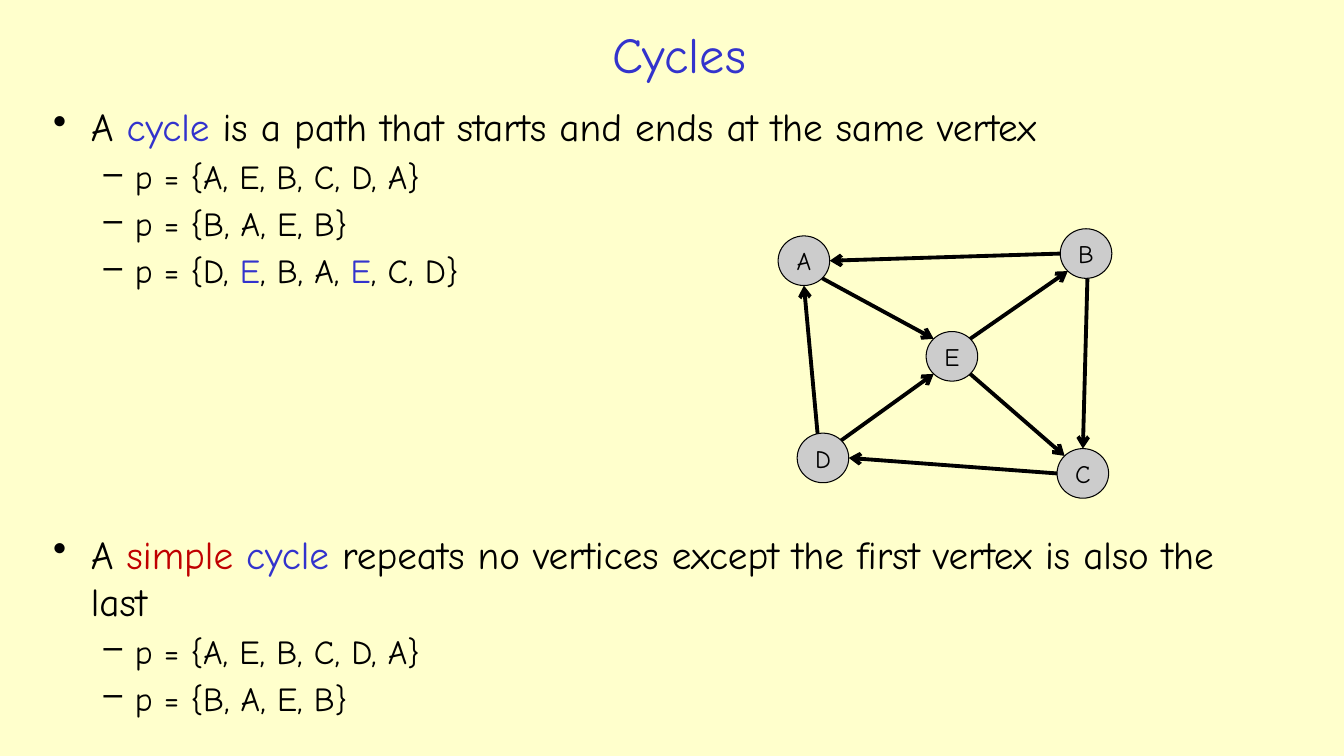
"""Build the slide on cycles in directed graphs."""
import math

import pptx
import pptx.dml.color
import pptx.enum.shapes
import pptx.enum.text
import pptx.oxml.ns
import pptx.util
from lxml import etree
from pptx.util import Cm, Pt

BLACK, BLUE, RED, GREY = "000000", "3333CC", "C00000", "CCCCCC"
LEVELS = [("•", 0.95, -0.95, 28), ("–", 2.06, -0.79, 24)]
NODE_W, NODE_H = 1.3, 1.25
NODES = {
    "A": (20.26, 6.57),
    "B": (27.37, 6.39),
    "D": (20.74, 11.54),
    "E": (23.99, 8.98),
    "C": (27.29, 11.93),
}
EDGES = [
    ("B", 180, "A", 0),
    ("E", 315, "C", 135),
    ("C", 180, "D", 0),
    ("A", 315, "E", 135),
    ("D", 102, "A", 270),
    ("D", 45, "E", 225),
    ("B", 273, "C", 90),
    ("E", 45, "B", 225),
]
CYCLE = [
    (0, [("A ", BLACK), ("cycle ", BLUE),
         ("is a path that starts and ends at the same vertex", BLACK)]),
    (1, [("p = {A, E, B, C, D, A}", BLACK)]),
    (1, [("p = {B, A, E, B}", BLACK)]),
    (1, [("p = {D, ", BLACK), ("E", BLUE), (", B, A, ", BLACK),
         ("E", BLUE), (", C, D}", BLACK)]),
]
SIMPLE_CYCLE = [
    (0, [("A ", BLACK), ("simple ", RED), ("cycle ", BLUE),
         ("repeats no vertices except the first vertex is also the last", BLACK)]),
    *CYCLE[1:3],
]


def rgb(value):
    return pptx.dml.color.RGBColor.from_string(value)


def add_xml(parent, tag, **attributes):
    return etree.SubElement(parent, pptx.oxml.ns.qn(tag), **attributes)


def rim(node, degrees):
    x, y = NODES[node]
    angle = math.radians(degrees)
    return (Cm(x + NODE_W / 2 * math.cos(angle)),
            Cm(y - NODE_H / 2 * math.sin(angle)))


class Deck:
    font = "Comic Neue"

    def __init__(self):
        self.prs = pptx.Presentation()
        self.prs.slide_width, self.prs.slide_height = Cm(33.87), Cm(19.05)
        self.s = self.prs.slides.add_slide(self.prs.slide_layouts[6])
        fill = self.s.background.fill
        fill.solid()
        fill.fore_color.rgb = rgb("FFFFCC")

    def style(self, p, size, color=None):
        p.font.name, p.font.size = self.font, Pt(size)
        if color:
            p.font.color.rgb = rgb(color)

    def centred(self, tf, text, size, color):
        tf.vertical_anchor = pptx.enum.text.MSO_ANCHOR.MIDDLE
        p = tf.paragraphs[0]
        p.text = text
        p.alignment = pptx.enum.text.PP_ALIGN.CENTER
        self.style(p, size, color)

    def box(self, x, y, w, h):
        tf = self.s.shapes.add_textbox(Cm(x), Cm(y), Cm(w), Cm(h)).text_frame
        tf.word_wrap = True
        return tf

    def title(self, text):
        self.centred(self.box(5, 0.38, 24.23, 1.93), text, 36, BLUE)

    def bullets(self, y, h, items):
        tf = self.box(1.09, y, 30.76, h)
        for i, (level, runs) in enumerate(items):
            p = tf.add_paragraph() if i else tf.paragraphs[0]
            char, margin, indent, size = LEVELS[level]
            p.level = level
            if i:
                p.space_before = Pt(size * 0.2)
            pPr = p._p.get_or_add_pPr()
            pPr.set("marL", str(Cm(margin)))
            pPr.set("indent", str(Cm(indent)))
            add_xml(pPr, "a:buChar", char=char)
            self.style(p, size)
            for text, color in runs:
                r = p.add_run()
                r.text = text
                r.font.color.rgb = rgb(color)

    def node(self, name):
        x, y = NODES[name]
        sp = self.s.shapes.add_shape(
            pptx.enum.shapes.MSO_SHAPE.OVAL, Cm(x - NODE_W / 2),
            Cm(y - NODE_H / 2), Cm(NODE_W), Cm(NODE_H))
        sp.shadow.inherit = False
        sp.fill.solid()
        sp.fill.fore_color.rgb = rgb(GREY)
        sp.line.color.rgb = rgb(BLACK)
        sp.line.width = Pt(0.75)
        self.centred(sp.text_frame, name, 18, BLACK)

    def arrow(self, start, start_angle, end, end_angle):
        cxn = self.s.shapes.add_connector(
            pptx.enum.shapes.MSO_CONNECTOR.STRAIGHT,
            *rim(start, start_angle), *rim(end, end_angle))
        cxn.line.color.rgb = rgb(BLACK)
        cxn.line.width = Pt(2.75)
        add_xml(cxn.line._get_or_add_ln(), "a:tailEnd", type="arrow")
        add_xml(cxn._element.spPr, "a:effectLst")


def main():
    deck = Deck()
    deck.title("Cycles")
    deck.bullets(2.46, 7.19, CYCLE)
    for name in NODES:
        deck.node(name)
    for edge in EDGES:
        deck.arrow(*edge)
    deck.bullets(13.23, 5.08, SIMPLE_CYCLE)
    deck.prs.save("out.pptx")


if __name__ == "__main__":
    main()
